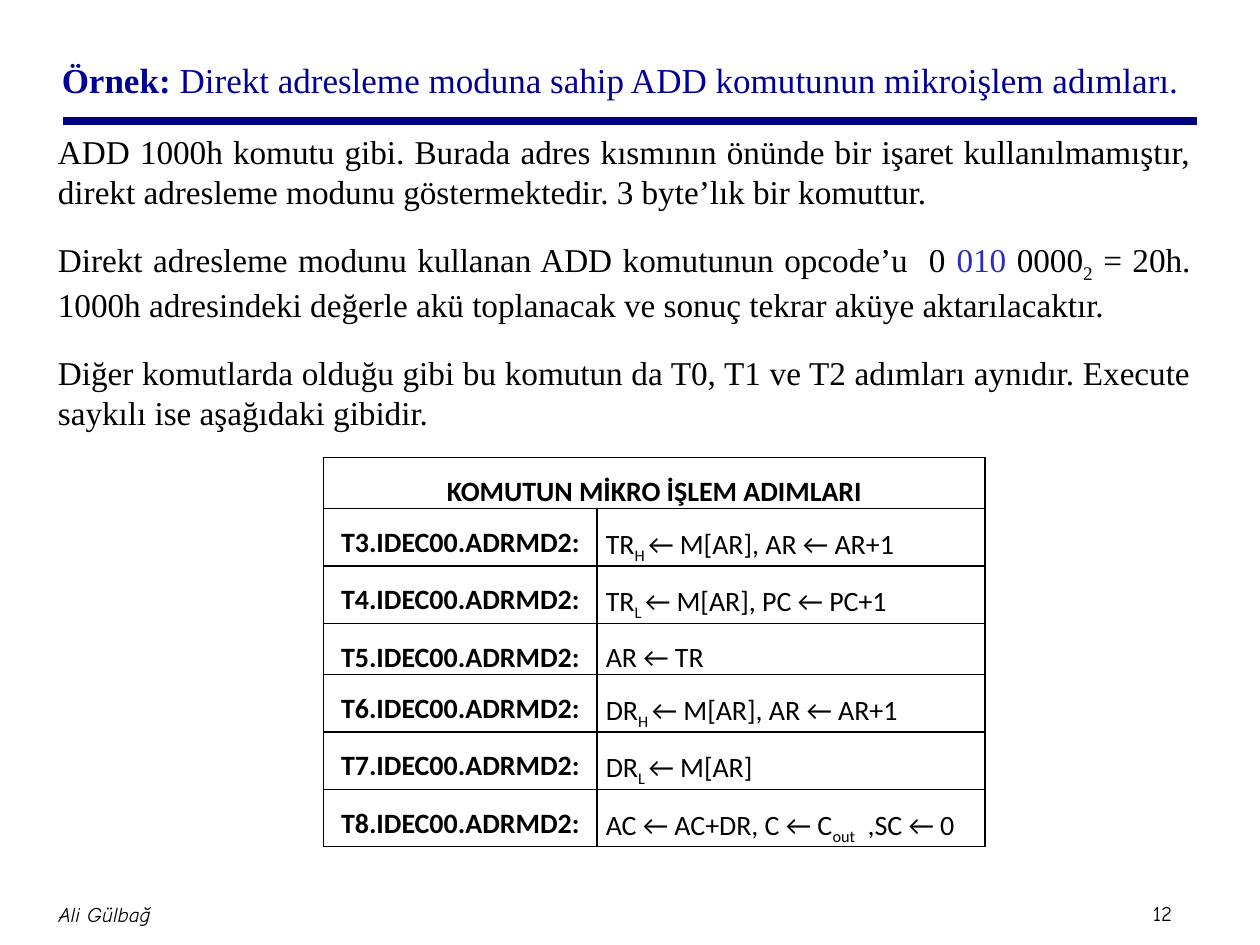
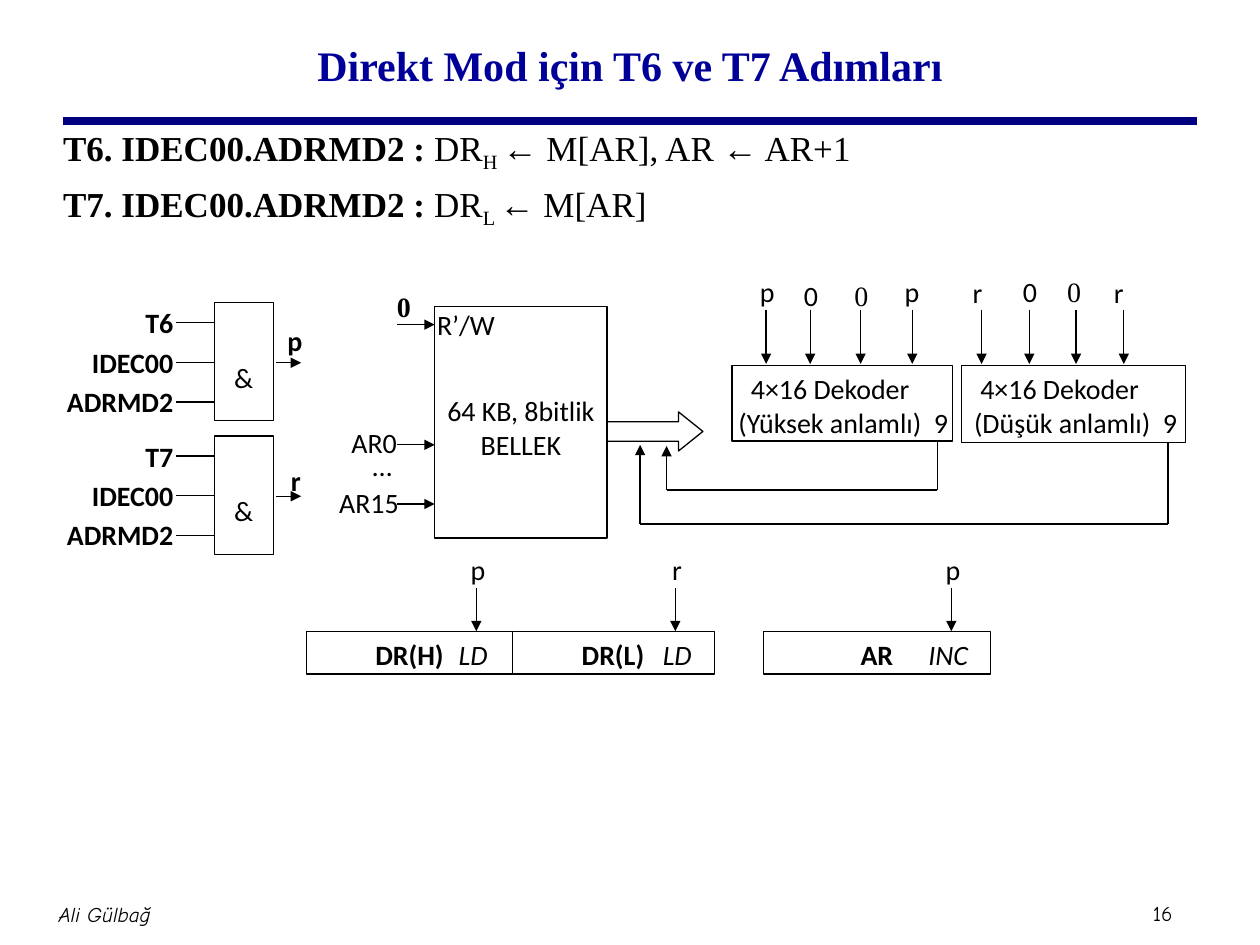
from pptx import Presentation
from pptx.dml.color import RGBColor
from pptx.enum.shapes import MSO_CONNECTOR, MSO_SHAPE
from pptx.enum.text import MSO_ANCHOR, MSO_AUTO_SIZE, PP_ALIGN
from pptx.oxml.ns import qn
from pptx.util import Pt
from lxml import etree

LEFT, MID, RIGHT, JUST = (PP_ALIGN.LEFT, PP_ALIGN.CENTER, PP_ALIGN.RIGHT,
                          PP_ALIGN.JUSTIFY)
TOP, CENTER = MSO_ANCHOR.TOP, MSO_ANCHOR.MIDDLE
RECT, ARROW = MSO_SHAPE.RECTANGLE, MSO_SHAPE.RIGHT_ARROW
STRAIGHT, FIXED = MSO_CONNECTOR.STRAIGHT, MSO_AUTO_SIZE.NONE

BLACK = RGBColor(0, 0, 0)
WHITE = RGBColor(255, 255, 255)
NAVY = RGBColor(0, 0, 0x80)
BLUE = RGBColor(0, 0, 0x99)
VIOLET = RGBColor(0x2D, 0x2D, 0xB9)
SERIF, SANS, HAND = "Times New Roman", "Calibri", "Comic Neue"
SUB = {"sub": True}
BOLD = {"bold": True}


def apply(item, vals):
    """Set attributes of an object from a dict."""
    for key, val in vals.items():
        setattr(item, key, val)


def write(para, parts, size=16, name=SANS, color=BLACK, **base):
    """Fill a paragraph from a string or from (text, format) parts."""
    if isinstance(parts, str):
        parts = [(parts, {})]
    for text, extra in parts:
        form = {"size": Pt(size), "name": name, "bold": False, **base, **extra}
        tint, low = form.pop("color", color), form.pop("sub", False)
        run = para.add_run()
        run.text = text
        apply(run.font, form)
        run.font.color.rgb = tint
        if low:
            run.font._element.get_or_add_rPr().set("baseline", "-25000") \
                if hasattr(run.font._element, "get_or_add_rPr") \
                else run._r.get_or_add_rPr().set("baseline", "-25000")


def inset(frame, left, top, right=None, low=None):
    """Set the inner margins, anchor and wrap of a text frame."""
    apply(frame, {"margin_left": Pt(left), "margin_top": Pt(top),
                  "margin_right": Pt(left if right is None else right),
                  "margin_bottom": Pt(top if low is None else low),
                  "vertical_anchor": TOP, "word_wrap": True})


def place(item, box):
    """Move a placeholder to a box given in points."""
    apply(item, dict(zip(("left", "top", "width", "height"), map(Pt, box))))


def label(slide, x, y, text, align=LEFT, wide=100, **form):
    """Put one line of text whose left, middle or right is at x."""
    shift = {LEFT: 0, MID: wide / 2, RIGHT: wide}[align]
    item = slide.shapes.add_textbox(Pt(x - shift), Pt(y), Pt(wide), Pt(20))
    inset(item.text_frame, 0, 0)
    para = item.text_frame.paragraphs[0]
    para.alignment = align
    write(para, text, **form)


def line(slide, x1, y1, x2, y2, head=False, color=BLACK, width=0.75):
    """Draw a straight line, with an arrowhead at its end if asked."""
    item = slide.shapes.add_connector(STRAIGHT, Pt(x1), Pt(y1), Pt(x2), Pt(y2))
    item.line.color.rgb = color
    item.line.width = Pt(width)
    if head:
        tail = etree.SubElement(item.line._get_or_add_ln(), qn("a:tailEnd"))
        tail.set("type", "triangle")
    etree.SubElement(item._element.spPr, qn("a:effectLst"))


def block(slide, x, y, w, h, kind=RECT):
    """Draw a white shape with a thin black outline."""
    item = slide.shapes.add_shape(kind, Pt(x), Pt(y), Pt(w), Pt(h))
    item.shadow.inherit = False
    item.fill.solid()
    item.fill.fore_color.rgb = WHITE
    item.line.color.rgb = BLACK
    item.line.width = Pt(0.75)
    inset(item.text_frame, 7.2, 3.6)
    return item


def page(deck, number, title, box, align, size):
    """Add a slide with its title, rule and footer."""
    slide = deck.slides.add_slide(deck.slide_layouts[1])
    place(slide.shapes.title, box)
    frame = slide.shapes.title.text_frame
    apply(frame, {"auto_size": FIXED, "vertical_anchor": CENTER})
    frame.paragraphs[0].alignment = align
    write(frame.paragraphs[0], title, size, SERIF, BLUE)
    line(slide, 36, 69.1, 684, 69.1, color=NAVY, width=4.5)
    label(slide, 59.8, 515, "Ali Gülbağ", MID, size=12, name=HAND, italic=True)
    label(slide, 658.8, 514.4, number, wide=30, size=12, name=HAND)
    return slide


def body(slide, box, paras, size, align, gap):
    """Fill the body placeholder with plain paragraphs."""
    item = slide.placeholders[1]
    place(item, box)
    frame = item.text_frame
    frame.auto_size = FIXED
    for i, parts in enumerate(paras):
        para = frame.add_paragraph() if i else frame.paragraphs[0]
        props = para._p.get_or_add_pPr()
        apply(para, {"alignment": align, "space_before": Pt(gap if i else 4)})
        props.set("marL", "0")
        props.set("indent", "0")
        etree.SubElement(props, qn("a:buNone"))
        write(para, parts, size, SERIF)


def border(cell):
    """Give a cell black one-point edges and no fill."""
    props = cell._tc.get_or_add_tcPr()
    for side in ("a:lnL", "a:lnR", "a:lnT", "a:lnB"):
        edge = etree.SubElement(props, qn(side), w="12700")
        fill = etree.SubElement(edge, qn("a:solidFill"))
        etree.SubElement(fill, qn("a:srgbClr"), val=str(BLACK))
    cell.fill.background()


def steps(slide, x, y, wide, head, rows):
    """Draw the table of micro-operations under a merged heading."""
    high = 29.3
    grid = slide.shapes.add_table(len(rows) + 1, 2, Pt(x), Pt(y),
                                  Pt(sum(wide)), Pt(high * (len(rows) + 1))).table
    for col, w in zip(grid.columns, wide):
        col.width = Pt(w)
    grid.cell(0, 0).merge(grid.cell(0, 1))
    for r, pair in enumerate([(head, "")] + rows):
        grid.rows[r].height = Pt(high)
        for c, parts in enumerate(pair):
            cell = grid.cell(r, c)
            border(cell)
            apply(cell, {"margin_left": Pt(5), "margin_right": Pt(5),
                         "margin_top": 0, "margin_bottom": 0,
                         "vertical_anchor": TOP if r else CENTER})
            para = cell.text_frame.paragraphs[0]
            apply(para, {"alignment": LEFT if c else MID, "line_spacing": 1.5})
            if parts:
                write(para, parts, bold=c == 0)


def gate(slide, x, y, names, out, dx, dy):
    """Draw an AND gate with named inputs and one output."""
    item = block(slide, x, y, 33.8, 67.7)
    inset(item.text_frame, 7.2, 33, low=0)
    para = item.text_frame.paragraphs[0]
    para.alignment = MID
    write(para, "&")
    for i, name in enumerate(names):
        pin = y + 11.5 + 22.7 * i
        line(slide, x - 21.6, pin, x, pin)
        label(slide, x - 23.4, y + 2 + 22.4 * i, name, RIGHT, bold=True)
    line(slide, x + 35.3, y + 34.5, x + 49.7, y + 34.5, True)
    label(slide, x + dx, y + dy, out, wide=20, bold=True)


def memory(slide, x, y, w, h):
    """Draw the memory with its inputs and its output bus."""
    frame = block(slide, x, y, w, h).text_frame
    inset(frame, 1.4, 0.7)
    first, last = frame.paragraphs[0], frame.add_paragraph()
    first.alignment = LEFT
    write(first, "R’/W")
    apply(last, {"alignment": MID, "space_before": Pt(30)})
    write(last, "64 KB, 8bitlik BELLEK")
    for pin in (10.5, 79.2, 113):
        line(slide, x - 21.6, y + pin, x, y + pin, True)
    label(slide, x - 21.6, y - 9.4, "0", wide=20, name=SERIF, bold=True)
    for dx, dy, text in ((34.6, 68.4, "AR0"), (29.9, 81.3, "…"),
                         (37.5, 102.2, "AR15")):
        label(slide, x - dx, y + dy, text, MID)
    bus = block(slide, x + w, y + 60.4, 54.7, 22.3, ARROW)
    bus.adjustments[0], bus.adjustments[1] = 0.5, 0.625


def decode(slide, x, y, w, h, rows, pins):
    """Draw a decoder with indented rows of text and its input pins."""
    frame = block(slide, x, y, w, h).text_frame
    inset(frame, 0, 3.6)
    for i, (pad, text) in enumerate(rows):
        para = frame.add_paragraph() if i else frame.paragraphs[0]
        para.alignment = LEFT
        para._p.get_or_add_pPr().set("marL", str(Pt(pad)))
        write(para, text)
    for text, font, dx, dy, pin in pins:
        label(slide, x + dx, y - dy, text, wide=20, name=font)
        line(slide, x + pin, y - 31.8, x + pin, y - 0.8, True)


def feed(slide, x, y, low, end, tip):
    """Lead a line down from a decoder, left, and up to the bus."""
    line(slide, x, y, x, low)
    line(slide, x, low, end, low)
    line(slide, end, low, end, tip, True)


def store(slide, x, y, w, name, sign, mid, pin, lead):
    """Draw a register with its control input."""
    para = block(slide, x, y, w, 24.5).text_frame.paragraphs[0]
    para.alignment = MID
    write(para, name, bold=True)
    label(slide, x + mid, y + 3.6, sign, MID, italic=True)
    line(slide, x + pin, y - 24.7, x + pin, y, True)
    label(slide, x + pin + 1, y - 45, lead, MID)


def direct(deck):
    """Build the slide on the steps of direct addressing."""
    slide = page(deck, "12", [
        ("Örnek: ", BOLD),
        ("Direkt adresleme moduna sahip ADD komutunun mikroişlem adımları.", {}),
    ], (28.1, 14.4, 664.6, 61.9), JUST, 20)
    body(slide, (25.9, 71.3, 661.7, 414.7), [
        "ADD 1000h komutu gibi. Burada adres kısmının önünde bir işaret "
        "kullanılmamıştır, direkt adresleme modunu göstermektedir. "
        "3 byte’lık bir komuttur.",
        [("Direkt adresleme modunu kullanan ADD komutunun opcode’u  0 ", {}),
         ("010", {"color": VIOLET}), (" 0000", {}), ("2", SUB),
         (" = 20h. 1000h adresindeki değerle akü toplanacak ve sonuç tekrar "
          "aküye aktarılacaktır.", {})],
        "Diğer komutlarda olduğu gibi bu komutun da T0, T1 ve T2 adımları "
        "aynıdır. Execute saykılı ise aşağıdaki gibidir.",
    ], 19, JUST, 16)
    acts = [
        [("TR", {}), ("H ", SUB), ("← M[AR], AR ← AR+1", {})],
        [("TR", {}), ("L ", SUB), ("← M[AR], PC ← PC+1", {})],
        "AR ← TR",
        [("DR", {}), ("H ", SUB), ("← M[AR], AR ← AR+1", {})],
        [("DR", {}), ("L ", SUB), ("← M[AR]", {})],
        [("AC ← AC+DR, C ← C", {}), ("out", SUB), ("  ,SC ← 0", {})],
    ]
    steps(slide, 185, 261.4, (156.2, 221.8), "KOMUTUN MİKRO İŞLEM ADIMLARI",
          [(f"T{i}.IDEC00.ADRMD2:", act) for i, act in enumerate(acts, 3)])


def circuit(deck):
    """Build the slide with the circuit of steps T6 and T7."""
    slide = page(deck, "16", [("Direkt Mod için T6 ve T7 Adımları", BOLD)],
                 (54, 5.8, 612, 61.9), MID, 24)
    body(slide, (28.8, 68.4, 659.5, 81.4), [
        [(f"{step}. IDEC00.ADRMD2 :", BOLD), (" DR", {}), (half, SUB), (act, {})]
        for step, half, act in (("T6", "H ", "← M[AR], AR ← AR+1"),
                                ("T7", "L ", "← M[AR]"))], 20, LEFT, 4.8)
    gate(slide, 122.4, 172.8, ("T6", "IDEC00", "ADRMD2"), "p", 41.8, 12.2)
    gate(slide, 122.4, 249.1, ("T7", "IDEC00", "ADRMD2"), "r", 43.9, 15.9)
    memory(slide, 248.4, 175, 98.6, 132.5)
    feed(slide, 535.7, 252, 280, 380.9, 254.9)
    feed(slide, 667.4, 252, 299.5, 365.8, 254.2)
    decode(slide, 418.3, 208.8, 126, 43.2,
           [(10.8, "4×16 Dekoder"), (3.6, "(Yüksek anlamlı)  9")],
           [("p", SANS, 15.9, 51.8, 19.5), ("0", SANS, 41.1, 49.7, 44.7),
            ("0", SERIF, 69.9, 49.7, 73.5), ("p", SANS, 98.7, 51.8, 103)])
    decode(slide, 549.4, 208.8, 128.2, 43.9,
           [(10.8, "4×16 Dekoder"), (7.2, "(Düşük anlamlı)  9")],
           [("r", SANS, 6.4, 51.1, 11.5), ("0", SANS, 35.2, 51.8, 38.8),
            ("0", SERIF, 60.4, 51.8, 65.5), ("r", SANS, 87.1, 51.1, 92.8)])
    for x, w, name, sign, mid, pin, lead in (
            (292.3, 116, "DR(L)", "LD", 94.7, 93.6, "r"),
            (436.3, 129.6, "AR", "INC", 105.5, 107.3, "p"),
            (175, 118, "DR(H)", "LD", 95.4, 97.2, "p")):
        store(slide, x, 360.7, w, name, sign, mid, pin, lead)


def main():
    """Build and save the deck."""
    deck = Presentation()
    apply(deck, {"slide_width": Pt(720), "slide_height": Pt(540)})
    direct(deck)
    circuit(deck)
    deck.save("out.pptx")


main()
